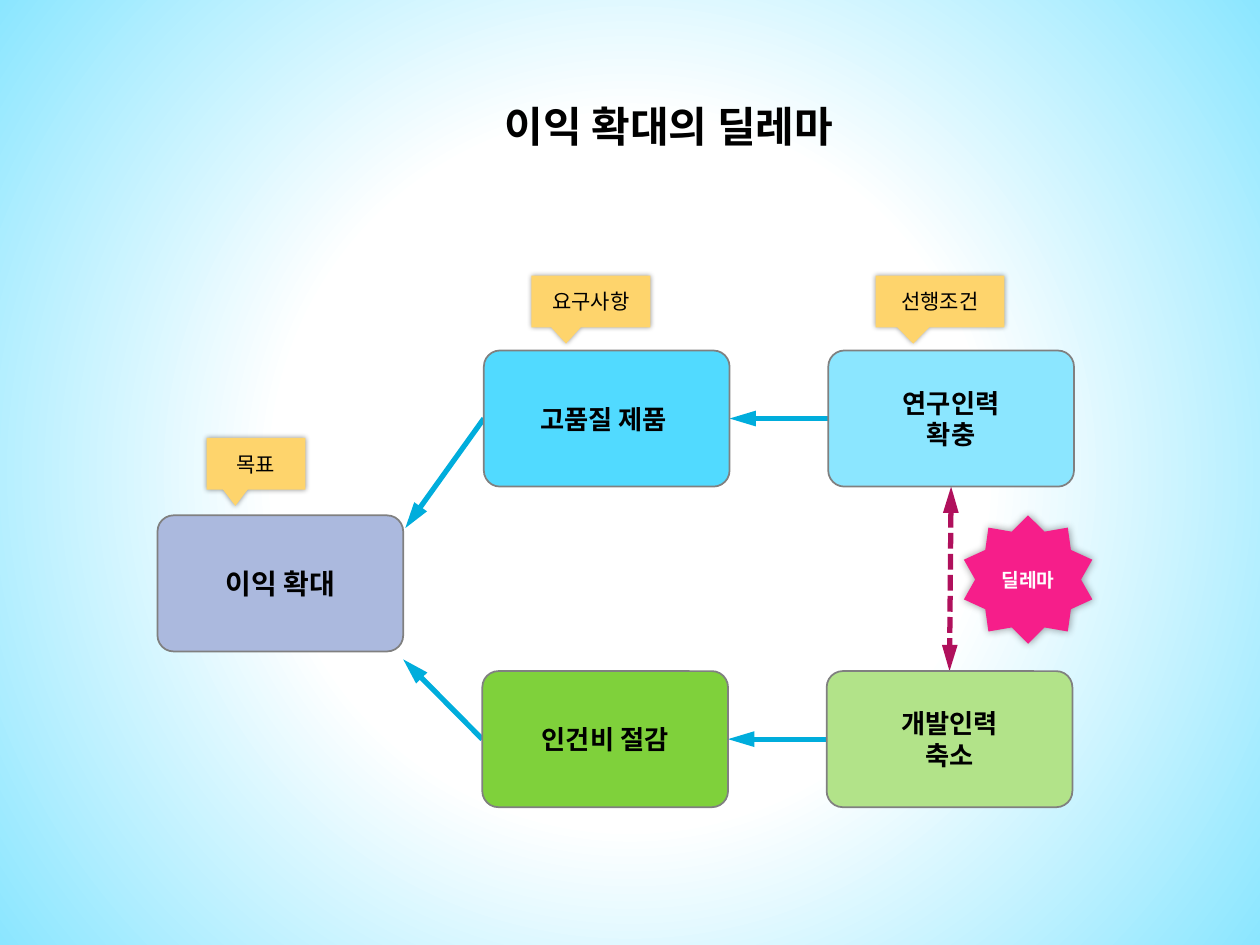
from dataclasses import dataclass

from lxml.etree import SubElement
from pptx import Presentation
from pptx.dml.color import RGBColor
from pptx.enum.dml import MSO_LINE
from pptx.enum.shapes import MSO_CONNECTOR, MSO_SHAPE
from pptx.enum.text import MSO_ANCHOR, MSO_AUTO_SIZE, PP_ALIGN
from pptx.oxml import parse_xml
from pptx.oxml.ns import nsdecls, qn
from pptx.util import Pt

FONT = "Noto Sans CJK KR"
BLACK = RGBColor(0x00, 0x00, 0x00)
WHITE = RGBColor(0xFF, 0xFF, 0xFF)
GRAY = RGBColor(0x80, 0x80, 0x80)
LAVENDER = RGBColor(0xAB, 0xB9, 0xDE)
SKY = RGBColor(0x51, 0xDA, 0xFF)
PALE_SKY = RGBColor(0x8B, 0xE6, 0xFF)
GREEN = RGBColor(0x7F, 0xD1, 0x3B)
PALE_GREEN = RGBColor(0xB2, 0xE3, 0x89)
YELLOW = RGBColor(0xFE, 0xD4, 0x6C)
PINK = RGBColor(0xF6, 0x1E, 0x8A)
BLUE = RGBColor(0x00, 0xAD, 0xDC)
CRIMSON = RGBColor(0xB0, 0x10, 0x5C)

NODE_WIDTH, NODE_HEIGHT = 140.4, 77.76


@dataclass
class Node:
    text: str
    left: float
    top: float
    color: RGBColor
    size: int = 15

    @property
    def left_side(self):
        return self.left, self.top + NODE_HEIGHT / 2

    @property
    def right_side(self):
        return self.left + NODE_WIDTH, self.top + NODE_HEIGHT / 2

    @property
    def top_side(self):
        return self.left + NODE_WIDTH / 2, self.top

    @property
    def bottom_side(self):
        return self.left + NODE_WIDTH / 2, self.top + NODE_HEIGHT


def set_background(page):
    properties = parse_xml(
        f'<p:bg {nsdecls("p", "a")}><p:bgPr><a:gradFill rotWithShape="1"><a:gsLst>'
        f'<a:gs pos="45000"><a:srgbClr val="{WHITE}"/></a:gs>'
        f'<a:gs pos="100000"><a:srgbClr val="{PALE_SKY}"/></a:gs></a:gsLst>'
        '<a:path path="circle"><a:fillToRect l="50000" t="50000" r="50000" b="50000"/></a:path>'
        '</a:gradFill><a:effectLst/></p:bgPr></p:bg>'
    )
    page.element.cSld.insert(0, properties)


def write_text(shape, text, size, color=BLACK, bold=True):
    frame = shape.text_frame
    frame.text = text
    frame.word_wrap = True
    frame.auto_size = MSO_AUTO_SIZE.NONE
    frame.vertical_anchor = MSO_ANCHOR.MIDDLE
    for paragraph in frame.paragraphs:
        paragraph.alignment = PP_ALIGN.CENTER
        font = paragraph.font
        font.name = FONT
        font.size = Pt(size)
        font.bold = bold
        font.color.rgb = color
        defaults = paragraph._p.pPr.find(qn("a:defRPr"))
        SubElement(defaults, qn("a:ea"), typeface=FONT)


def add_title(page, text):
    title = page.shapes.title
    title.left, title.top, title.width, title.height = Pt(196.5), Pt(54), Pt(371.5), Pt(36)
    write_text(title, text, 24)


def add_filled(page, kind, left, top, width, height, color):
    shape = page.shapes.add_shape(kind, Pt(left), Pt(top), Pt(width), Pt(height))
    shape.fill.solid()
    shape.fill.fore_color.rgb = color
    shape.line.fill.background()
    shape.shadow.inherit = False
    return shape


def add_glow_shadow(shape, blur):
    effects = shape._element.spPr.find(qn("a:effectLst"))
    shadow = SubElement(effects, qn("a:outerShdw"), blurRad=str(Pt(blur)), dist="0", dir="0")
    color = SubElement(shadow, qn("a:srgbClr"), val=str(BLACK))
    SubElement(color, qn("a:alpha"), val="40000")


def add_node(page, node):
    box = add_filled(page, MSO_SHAPE.ROUNDED_RECTANGLE, node.left, node.top,
                     NODE_WIDTH, NODE_HEIGHT, node.color)
    box.adjustments[0] = 0.118
    box.line.color.rgb = GRAY
    box.line.width = Pt(1)
    write_text(box, node.text, node.size)


def add_callout(page, text, left, top, width):
    callout = add_filled(page, MSO_SHAPE.RECTANGULAR_CALLOUT, left, top, width, 29.5, YELLOW)
    callout.adjustments[0] = -0.208
    callout.adjustments[1] = 0.817
    add_glow_shadow(callout, 3)
    write_text(callout, text, 12, bold=False)


def add_star(page, text):
    star = add_filled(page, MSO_SHAPE.STAR_10_POINT, 550.8, 294.5, 73.4, 73.4, PINK)
    star.adjustments[0] = 0.392
    add_glow_shadow(star, 5)
    write_text(star, text, 11, WHITE)


def add_arrow(page, start, end, color=BLUE, ends=("tailEnd",), dash=None):
    points = [Pt(value) for value in (*start, *end)]
    arrow = page.shapes.add_connector(MSO_CONNECTOR.STRAIGHT, *points)
    arrow.line.color.rgb = color
    arrow.line.width = Pt(3)
    if dash:
        arrow.line.dash_style = dash
    line = arrow.line._get_or_add_ln()
    for end_name in ends:
        SubElement(line, qn(f"a:{end_name}"), type="triangle", w="med", len="lg")
    SubElement(arrow._element.spPr, qn("a:effectLst"))


def main():
    deck = Presentation()
    deck.slide_width, deck.slide_height = Pt(720), Pt(540)
    page = deck.slides.add_slide(deck.slide_layouts[5])
    set_background(page)
    add_title(page, "이익 확대의 딜레마")

    goal = Node("이익 확대", 90, 294.5, LAVENDER, 16)
    quality = Node("고품질 제품 ", 276.5, 200.3, SKY)
    cost = Node("인건비 절감", 275.6, 383.5, GREEN)
    research = Node("연구인력\v확충", 473.3, 200.3, PALE_SKY)
    development = Node("개발인력\n축소", 472.4, 383.5, PALE_GREEN)

    add_arrow(page, research.left_side, quality.right_side)
    add_arrow(page, development.left_side, cost.right_side)
    add_arrow(page, cost.left_side, (230.4, 376.8))
    add_arrow(page, quality.left_side, (231.6, 301.8))
    add_arrow(page, research.bottom_side, development.top_side, CRIMSON,
              ("headEnd", "tailEnd"), MSO_LINE.SQUARE_DOT)

    for node in (goal, quality, cost, research, development):
        add_node(page, node)

    add_star(page, "딜레마")
    add_callout(page, "목표", 118, 250.2, 56.5)
    add_callout(page, "요구사항", 303.6, 157.5, 68)
    add_callout(page, "선행조건", 500.4, 157.5, 73.6)

    deck.save("out.pptx")


if __name__ == "__main__":
    main()
